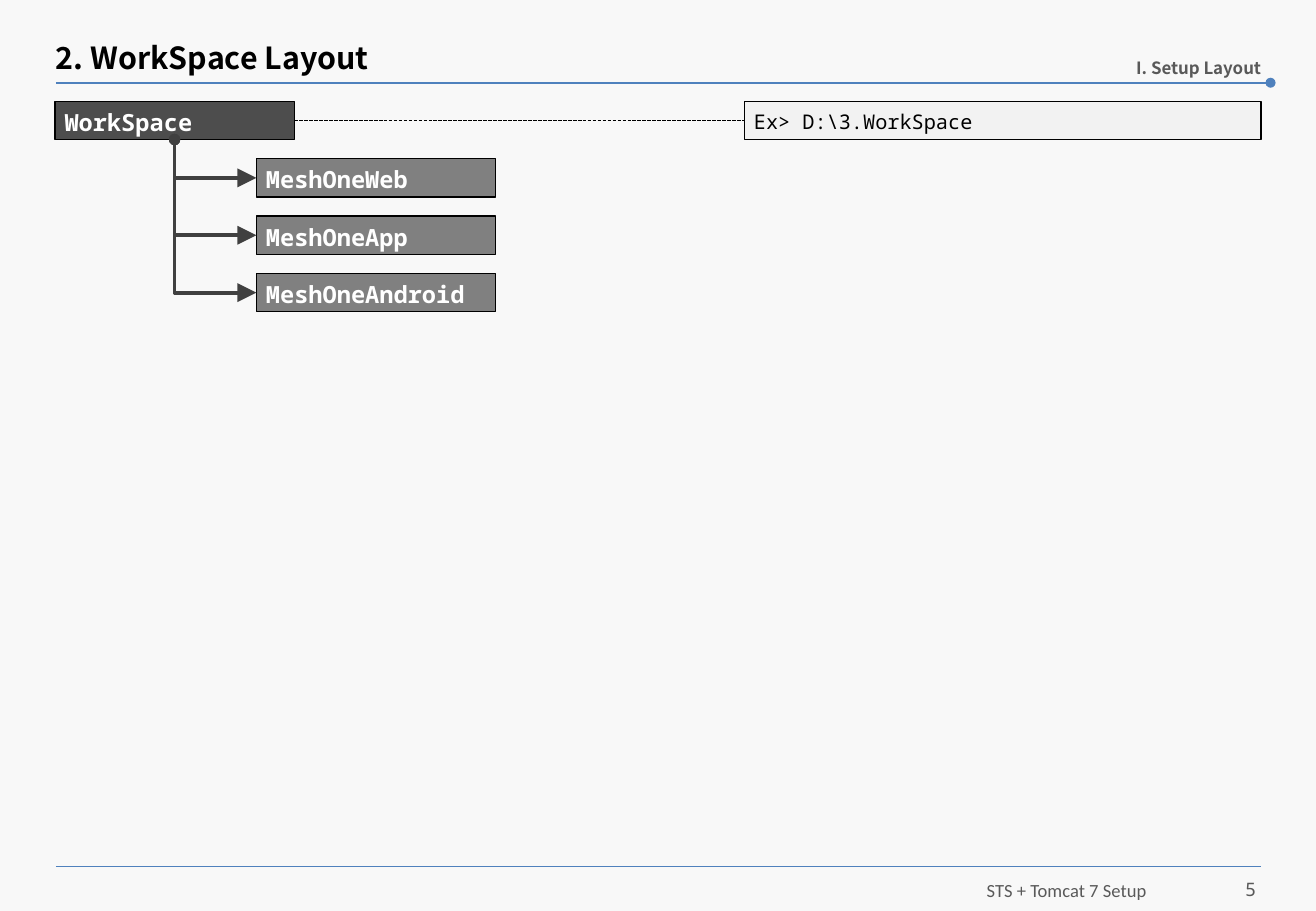
from dataclasses import dataclass

from lxml.etree import SubElement
from pptx import Presentation
from pptx.dml.color import RGBColor
from pptx.enum.dml import MSO_LINE_DASH_STYLE as Dash
from pptx.enum.shapes import MSO_CONNECTOR as ConnectorType, MSO_SHAPE as ShapeType
from pptx.enum.text import MSO_ANCHOR as Anchor, PP_ALIGN as Align
from pptx.oxml.ns import qn
from pptx.shapes.autoshape import Shape
from pptx.shapes.connector import Connector
from pptx.slide import Slide
from pptx.util import Cm, Pt

COLORS = {
    "background": "F8F8F8",
    "rule": "4F81BD",
    "muted": "595959",
    "black": "000000",
    "white": "FFFFFF",
    "root": "4D4D4D",
    "project": "808080",
    "path": "F2F2F2",
    "arrow": "404040",
}
HEADING_FONT = "Noto Sans CJK KR"
CODE_FONT = "Noto Sans Mono"
LEFT, RIGHT = 1.17, 26.36
TREE_TOP, ROW_PITCH, BOX_HEIGHT = 2.12, 1.2, 0.8
ROOT_WIDTH = 5.0


@dataclass
class FolderBox:
    text: str
    left: float
    width: float
    row: int
    fill: str
    color: str = "white"
    size: float = 14
    bold: bool = True

    @property
    def top(self) -> float:
        return TREE_TOP + self.row * ROW_PITCH

    @property
    def middle(self) -> float:
        return self.top + BOX_HEIGHT / 2


@dataclass
class Label:
    text: str
    left: float
    top: float
    width: float
    height: float
    font: str
    size: float
    color: str = "muted"
    bold: bool = False
    align: Align = Align.RIGHT
    anchor: Anchor = Anchor.MIDDLE
    inset: float = 0.1


ROOT = FolderBox("WorkSpace", LEFT - 0.02, ROOT_WIDTH, 0, "root")
PATH = FolderBox("Ex> D:\\3.WorkSpace", 15.56, 10.8, 0, "path", "black", 12, False)
PROJECTS = [
    FolderBox(name, 5.36, ROOT_WIDTH, row, "project")
    for row, name in enumerate(["MeshOneWeb", "MeshOneApp", "MeshOneAndroid"], start=1)
]
LABELS = [
    Label("2. WorkSpace Layout", LEFT, 0, 19.6, 1.68, HEADING_FONT, 18, "black",
          True, Align.LEFT, Anchor.BOTTOM, 0),
    Label("I. Setup Layout", 17.75, 0.33, RIGHT - 17.75, 1.4, HEADING_FONT, 10,
          bold=True, anchor=Anchor.BOTTOM, inset=0),
    Label("STS + Tomcat 7 Setup", 11.15, 18.14, 12.92, 0.93, "Calibri", 11),
    Label("5", 24.58, 18.14, RIGHT - 24.58, 0.91, CODE_FONT, 11),
]


def rgb(name: str) -> RGBColor:
    return RGBColor.from_string(COLORS[name])


def set_text(shape: Shape, text: str, *, font: str, size: float, color: str,
             bold: bool = False, align: Align = Align.LEFT,
             anchor: Anchor = Anchor.MIDDLE, inset: float = 0.1,
             line_spacing: float = 1.0) -> None:
    frame = shape.text_frame
    frame.word_wrap = True
    frame.vertical_anchor = anchor
    frame.margin_left = frame.margin_right = Cm(inset)
    frame.margin_top = frame.margin_bottom = Cm(0.1)
    paragraph = frame.paragraphs[0]
    paragraph.alignment = align
    paragraph.line_spacing = line_spacing
    run = paragraph.add_run()
    run.text = text
    run.font.name = font
    run.font.size = Pt(size)
    run.font.bold = bold
    run.font.color.rgb = rgb(color)


def add_label(slide: Slide, label: Label) -> None:
    box = slide.shapes.add_textbox(
        Cm(label.left), Cm(label.top), Cm(label.width), Cm(label.height))
    set_text(box, label.text, font=label.font, size=label.size, color=label.color,
             bold=label.bold, align=label.align, anchor=label.anchor, inset=label.inset)


def add_folder(slide: Slide, folder: FolderBox) -> None:
    shape = slide.shapes.add_shape(
        ShapeType.ROUNDED_RECTANGLE, Cm(folder.left), Cm(folder.top),
        Cm(folder.width), Cm(BOX_HEIGHT))
    shape.adjustments[0] = 0
    shape.shadow.inherit = False
    shape.fill.solid()
    shape.fill.fore_color.rgb = rgb(folder.fill)
    shape.line.color.rgb = rgb("black")
    shape.line.width = Pt(0.75)
    set_text(shape, folder.text, font=CODE_FONT, size=folder.size, color=folder.color,
             bold=folder.bold, inset=0.2, line_spacing=1.1)


def add_line(slide: Slide, start: tuple[float, float], end: tuple[float, float],
             color: str, width: float, kind: ConnectorType = ConnectorType.STRAIGHT) -> Connector:
    connector = slide.shapes.add_connector(kind, *(Cm(value) for value in (*start, *end)))
    connector.line.color.rgb = rgb(color)
    connector.line.width = Pt(width)
    SubElement(connector.element.spPr, qn("a:effectLst"))
    return connector


def add_line_end(connector: Connector, tag: str, kind: str, size: str = "med") -> None:
    """Put an end mark on a line; a headEnd has to be added before a tailEnd."""
    SubElement(connector.line._get_or_add_ln(), qn(tag), type=kind, w=size, len=size)


def add_branch(slide: Slide, project: FolderBox) -> None:
    """Draw an arrow that runs down from the root folder, then right to the project."""
    start_x, start_y = ROOT.left + ROOT.width / 2, ROOT.top + BOX_HEIGHT
    across, down = project.left - start_x, project.middle - start_y
    branch = add_line(slide, (start_x, start_y), (project.left, project.middle),
                      "arrow", 2.25, ConnectorType.ELBOW)
    # The frame is turned a quarter, so its width and height swap about its centre.
    branch.left = Cm(start_x + (across - down) / 2)
    branch.top = Cm(start_y + (down - across) / 2)
    branch.width, branch.height = Cm(down), Cm(across)
    properties = branch.element.spPr
    properties.find(qn("a:prstGeom")).set("prst", "bentConnector2")
    frame = properties.find(qn("a:xfrm"))
    frame.set("rot", str(270 * 60000))
    frame.set("flipH", "1")
    add_line_end(branch, "a:headEnd", "oval")
    add_line_end(branch, "a:tailEnd", "triangle", "lg")


def main() -> None:
    presentation = Presentation()
    presentation.slide_width, presentation.slide_height = Cm(27.51), Cm(19.05)
    slide = presentation.slides.add_slide(presentation.slide_layouts[6])
    slide.background.fill.solid()
    slide.background.fill.fore_color.rgb = rgb("background")

    header_rule = add_line(slide, (LEFT, 1.73), (26.56, 1.73), "rule", 1)
    add_line_end(header_rule, "a:tailEnd", "oval")
    add_line(slide, (LEFT, 18.12), (RIGHT, 18.12), "rule", 0.5)
    for label in LABELS:
        add_label(slide, label)

    for folder in [ROOT, PATH, *PROJECTS]:
        add_folder(slide, folder)
    path_line = add_line(slide, (ROOT.left + ROOT.width, ROOT.middle),
                         (PATH.left, PATH.middle), "black", 0.75)
    path_line.line.dash_style = Dash.SQUARE_DOT
    for project in PROJECTS:
        add_branch(slide, project)

    presentation.save("out.pptx")


if __name__ == "__main__":
    main()
